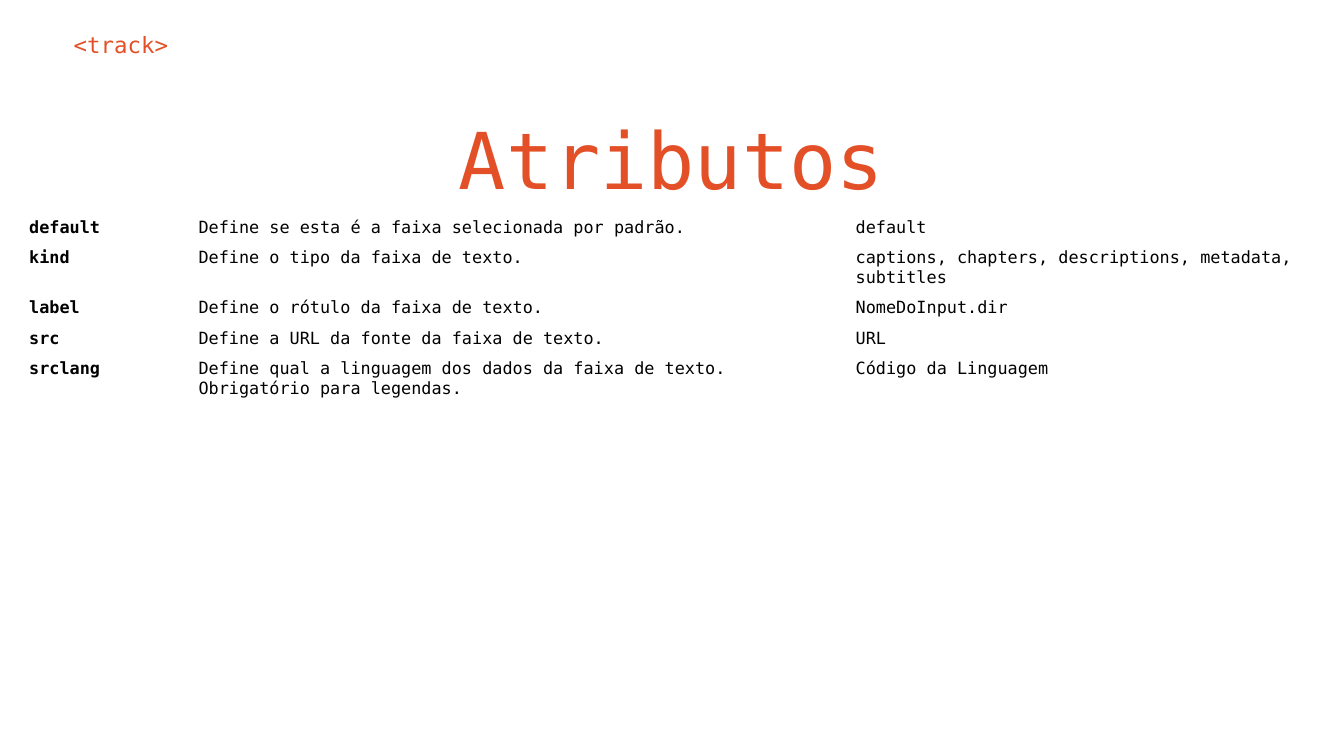
from pptx import Presentation
from pptx.dml.color import RGBColor
from pptx.enum.text import MSO_ANCHOR, PP_ALIGN
from pptx.util import Inches, Pt

# Content
TAG = "<track>"
TITLE = "Atributos"
ROWS = [
    ("default", "Define se esta é a faixa selecionada por padrão.", "default"),
    ("kind", "Define o tipo da faixa de texto.",
     "captions, chapters, descriptions, metadata, subtitles"),
    ("label", "Define o rótulo da faixa de texto.", "NomeDoInput.dir"),
    ("src", "Define a URL da fonte da faixa de texto.", "URL"),
    ("srclang", "Define qual a linguagem dos dados da faixa de texto. "
     "Obrigatório para legendas.", "Código da Linguagem"),
]
COLS = (1.26, 4.89, 3.37)
ROW_H = 0.2
FONT, ORANGE, BLACK = "DejaVu Sans Mono", "E34F26", "000000"
PLAIN = "{2D5ABB26-0587-4C30-8999-92F81FD0307C}"  # no style, no grid


def inset(part, gap):
    part.margin_left = part.margin_right = gap
    part.margin_top = part.margin_bottom = gap


def write(frame, text, size=9, color=BLACK, bold=False,
          align=PP_ALIGN.LEFT, space=1.0):
    para = frame.paragraphs[0]
    para.alignment = align
    para.line_spacing = space
    run = para.add_run()
    run.text = text
    font = run.font
    font.name, font.size, font.bold = FONT, Pt(size), bold
    font.color.rgb = RGBColor.from_string(color)


def main():
    deck = Presentation()
    deck.slide_width = Inches(10)
    deck.slide_height = Inches(10) * 9 // 16
    slide = deck.slides.add_slide(deck.slide_layouts[5])

    # Tag name
    tag = slide.shapes.add_textbox(
        Inches(0.45), Inches(0.13), Inches(9.18), Inches(0.42))
    tag.text_frame.word_wrap = True
    inset(tag.text_frame, Inches(0.1))
    write(tag.text_frame, TAG, size=12, color=ORANGE)

    # Title
    title = slide.shapes.title
    title.left, title.top = Inches(0.71), Inches(0.72)
    title.width, title.height = Inches(8.57), Inches(0.86)
    title.text_frame.vertical_anchor = MSO_ANCHOR.MIDDLE
    inset(title.text_frame, Inches(0.1))
    write(title.text_frame, TITLE, size=42, color=ORANGE,
          align=PP_ALIGN.CENTER, space=1.07)

    # Attribute table
    table = slide.shapes.add_table(
        len(ROWS), len(COLS), Inches(0.18), Inches(1.58),
        Inches(sum(COLS)), Inches(ROW_H * len(ROWS))).table
    table.first_row = table.horz_banding = False
    table._tbl.tblPr[0].text = PLAIN
    for col, width in zip(table.columns, COLS):
        col.width = Inches(width)
    for r, row in enumerate(ROWS):
        for c, text in enumerate(row):
            cell = table.cell(r, c)
            cell.fill.background()
            inset(cell, Pt(2.7))
            write(cell.text_frame, text, bold=c == 0)

    deck.save("out.pptx")


if __name__ == "__main__":
    main()
